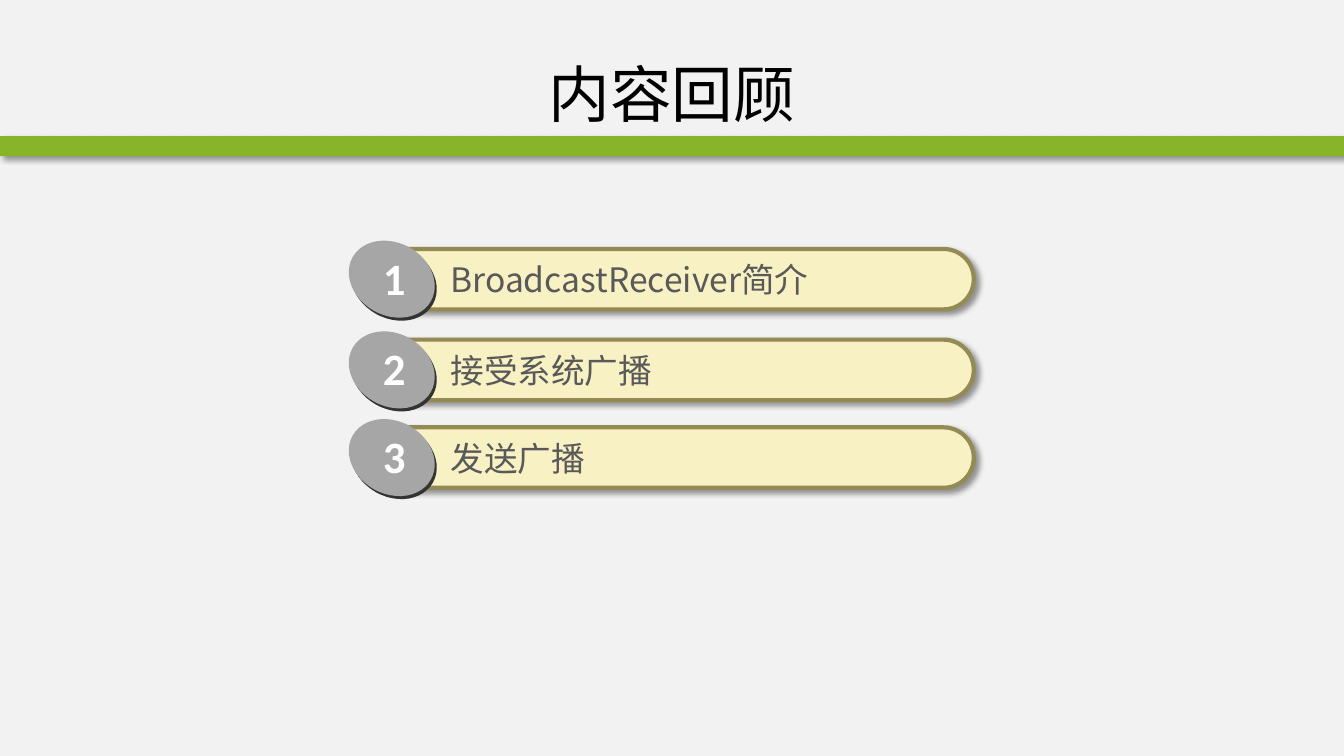
from dataclasses import dataclass

from lxml.etree import SubElement
from pptx import Presentation
from pptx.dml.color import RGBColor
from pptx.enum.shapes import MSO_SHAPE as Preset
from pptx.enum.text import MSO_ANCHOR as Anchor, PP_ALIGN as Align
from pptx.oxml.ns import qn
from pptx.shapes.autoshape import Shape
from pptx.text.text import TextFrame
from pptx.util import Emu, Inches, Pt

SLIDE_WIDTH, SLIDE_HEIGHT = Inches(13.33), Inches(7.5)
CJK_FONT, NUMBER_FONT = "Noto Sans CJK SC", "Calibri"
COLORS = {
    "background": "F2F2F2", "band": "88B429", "bar": "F7F1C4", "bar_line": "948A54",
    "shadow": "000000", "badge": "A6A6A6", "badge_edge": "333333",
    "title": "000000", "topic": "595959", "number": "FFFFFF",
}


@dataclass(frozen=True)
class Area:
    """Left, top, width and height in percent of the slide's size."""
    left: float
    top: float
    width: float
    height: float

    def lower(self, distance: float) -> "Area":
        return Area(self.left, self.top + distance, self.width, self.height)

    def lengths(self) -> tuple[Emu, Emu, Emu, Emu]:
        return (Emu(int(SLIDE_WIDTH * self.left / 100)), Emu(int(SLIDE_HEIGHT * self.top / 100)),
                Emu(int(SLIDE_WIDTH * self.width / 100)), Emu(int(SLIDE_HEIGHT * self.height / 100)))


@dataclass(frozen=True)
class Topic:
    number: int
    name: str
    top: float


TOPICS = [
    Topic(1, "BroadcastReceiver简介", 32.93),
    Topic(2, "接受系统广播", 44.93),
    Topic(3, "发送广播", 56.53),
]
TITLE_AREA = Area(5, 4, 90, 16.67)
BAND_AREA = Area(0, 18, 100, 2.67)
# Parts of a topic, with tops measured from the top of its bar
BAR_AREA = Area(27.46, 0, 45, 8)
NAME_AREA = Area(32.78, 0.67, 38.18, 6.67)
BADGE_EDGE_AREA = Area(25.96, -0.4, 6.68, 9.6)
BADGE_AREA = Area(25.81, -0.8, 6.68, 9.6)
NUMBER_AREA = Area(27.76, -0.53, 3.23, 8.53)
BADGE_TILT = 29.3


def color(name: str) -> RGBColor:
    return RGBColor.from_string(COLORS[name])


def add_filled(shapes, preset: Preset, area: Area, fill: str) -> Shape:
    shape = shapes.add_shape(preset, *area.lengths())
    shape.shadow.inherit = False
    shape.fill.solid()
    shape.fill.fore_color.rgb = color(fill)
    shape.line.fill.background()
    return shape


def cast_shadow(shape: Shape) -> None:
    effects = shape._element.spPr.find(qn("a:effectLst"))
    shadow = SubElement(effects, qn("a:outerShdw"), blurRad=str(Pt(4)), dist=str(Pt(3)),
                        dir=str(45 * 60000), algn="tl", rotWithShape="0")
    tint = SubElement(shadow, qn("a:srgbClr"), val=COLORS["shadow"])
    SubElement(tint, qn("a:alpha"), val="40000")


def write(frame: TextFrame, text: str, font: str, size: int, ink: str,
          align: Align = Align.LEFT, bold: bool = False) -> None:
    frame.text = text
    frame.vertical_anchor = Anchor.MIDDLE
    paragraph = frame.paragraphs[0]
    paragraph.alignment = align
    run = paragraph.runs[0]
    run.font.name = font
    run.font.size = Pt(size)
    run.font.bold = bold
    run.font.color.rgb = color(ink)
    SubElement(run._r.get_or_add_rPr(), qn("a:ea"), typeface=font)


def add_topic(slide, topic: Topic) -> None:
    shapes = slide.shapes.add_group_shape().shapes
    bar = add_filled(shapes, Preset.ROUNDED_RECTANGLE, BAR_AREA.lower(topic.top), "bar")
    bar.adjustments[0] = 0.5
    bar.line.color.rgb = color("bar_line")
    bar.line.width = Pt(3)
    cast_shadow(bar)

    name = shapes.add_textbox(*NAME_AREA.lower(topic.top).lengths()).text_frame
    name.word_wrap = True
    write(name, topic.name, CJK_FONT, 24, "topic")

    for area, fill in ((BADGE_EDGE_AREA, "badge_edge"), (BADGE_AREA, "badge")):
        badge = add_filled(shapes, Preset.OVAL, area.lower(topic.top), fill)
        badge.rotation = BADGE_TILT

    number = shapes.add_textbox(*NUMBER_AREA.lower(topic.top).lengths()).text_frame
    number.word_wrap = False
    write(number, str(topic.number), NUMBER_FONT, 32, "number", bold=True)


def main() -> None:
    deck = Presentation()
    deck.slide_width, deck.slide_height = SLIDE_WIDTH, SLIDE_HEIGHT
    slide = deck.slides.add_slide(deck.slide_layouts[5])
    slide.background.fill.solid()
    slide.background.fill.fore_color.rgb = color("background")

    cast_shadow(add_filled(slide.shapes, Preset.RECTANGLE, BAND_AREA, "band"))

    title = slide.shapes.title
    title.left, title.top, title.width, title.height = TITLE_AREA.lengths()
    write(title.text_frame, "内容回顾", CJK_FONT, 44, "title", Align.CENTER)

    for topic in TOPICS:
        add_topic(slide, topic)
    deck.save("out.pptx")


if __name__ == "__main__":
    main()
